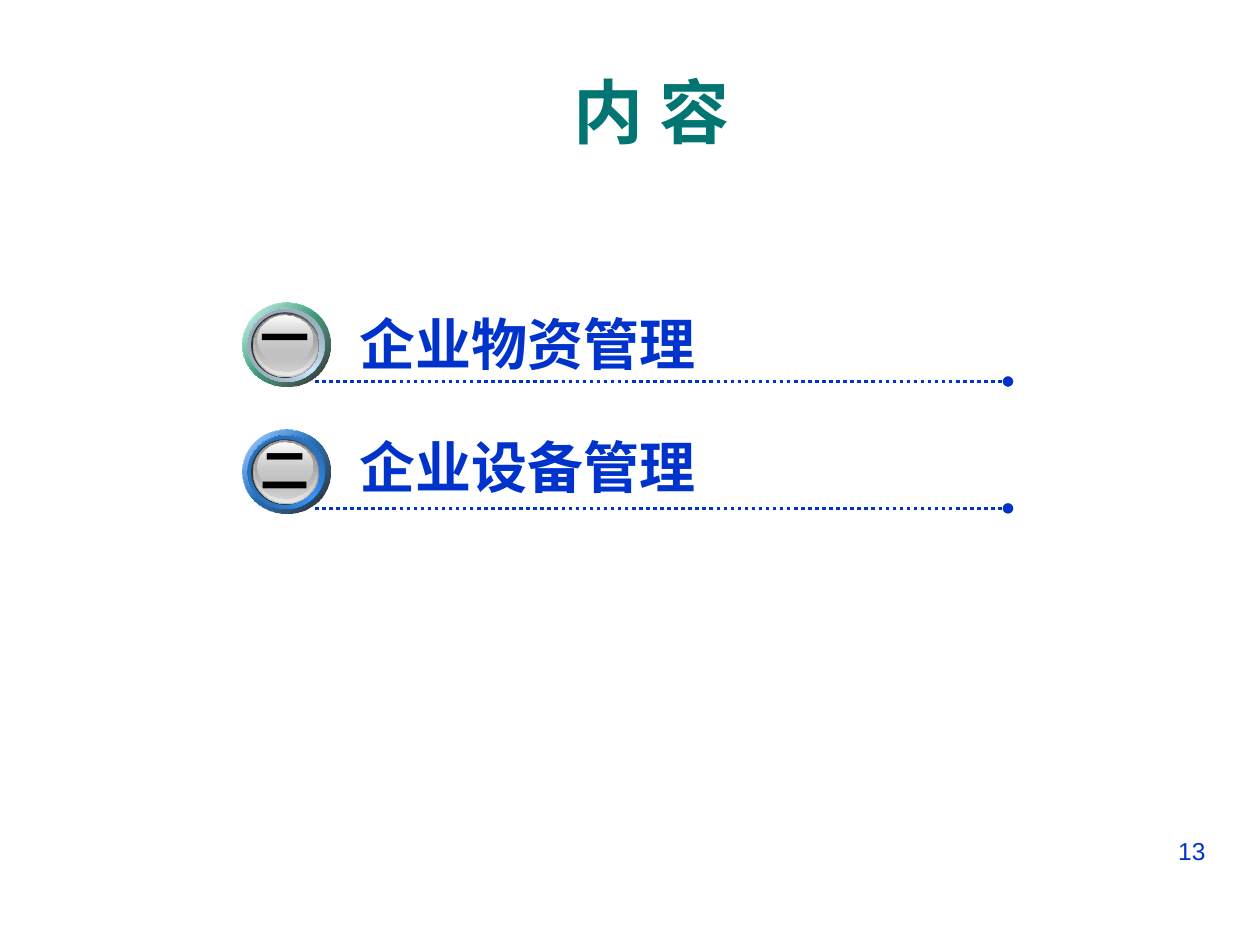
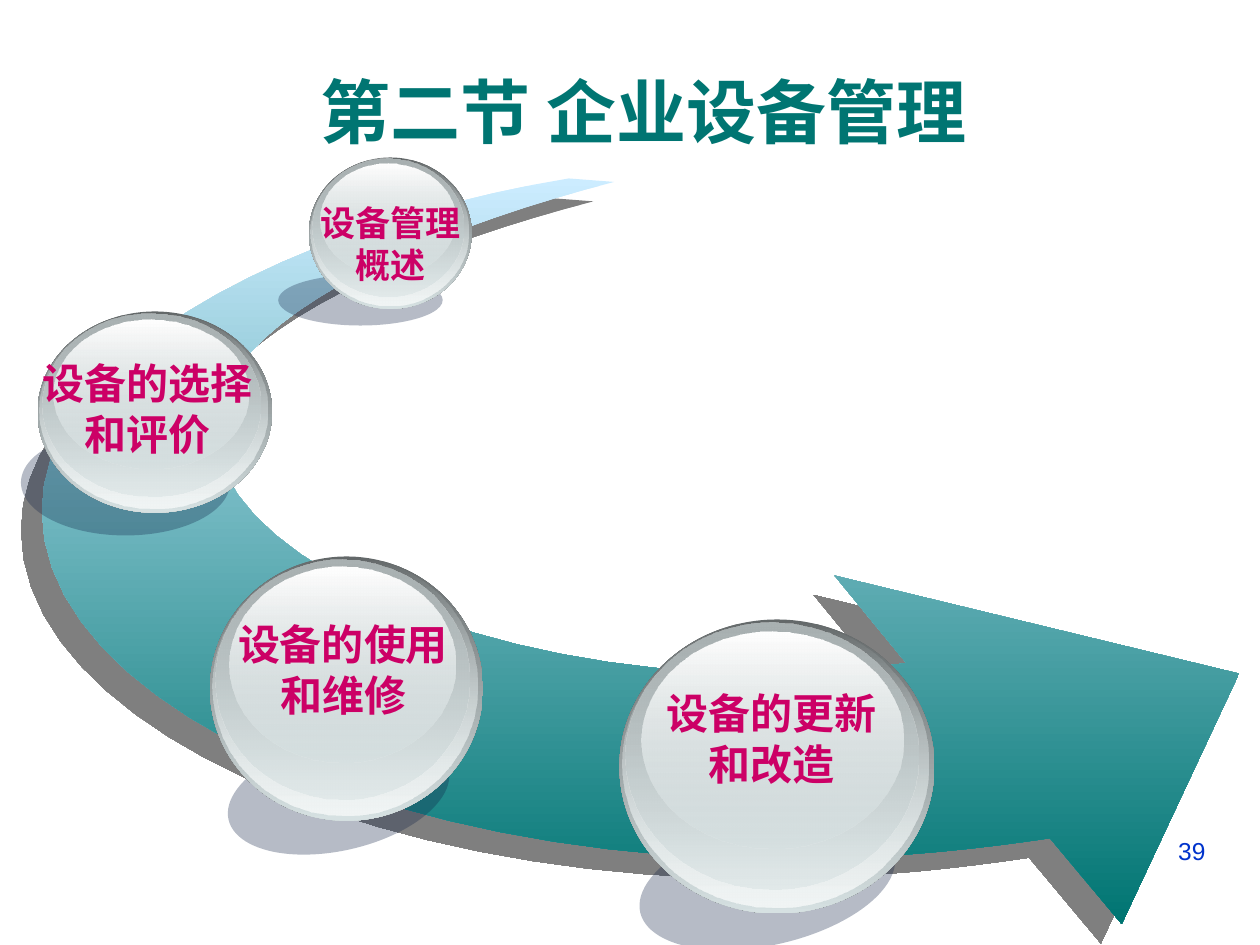
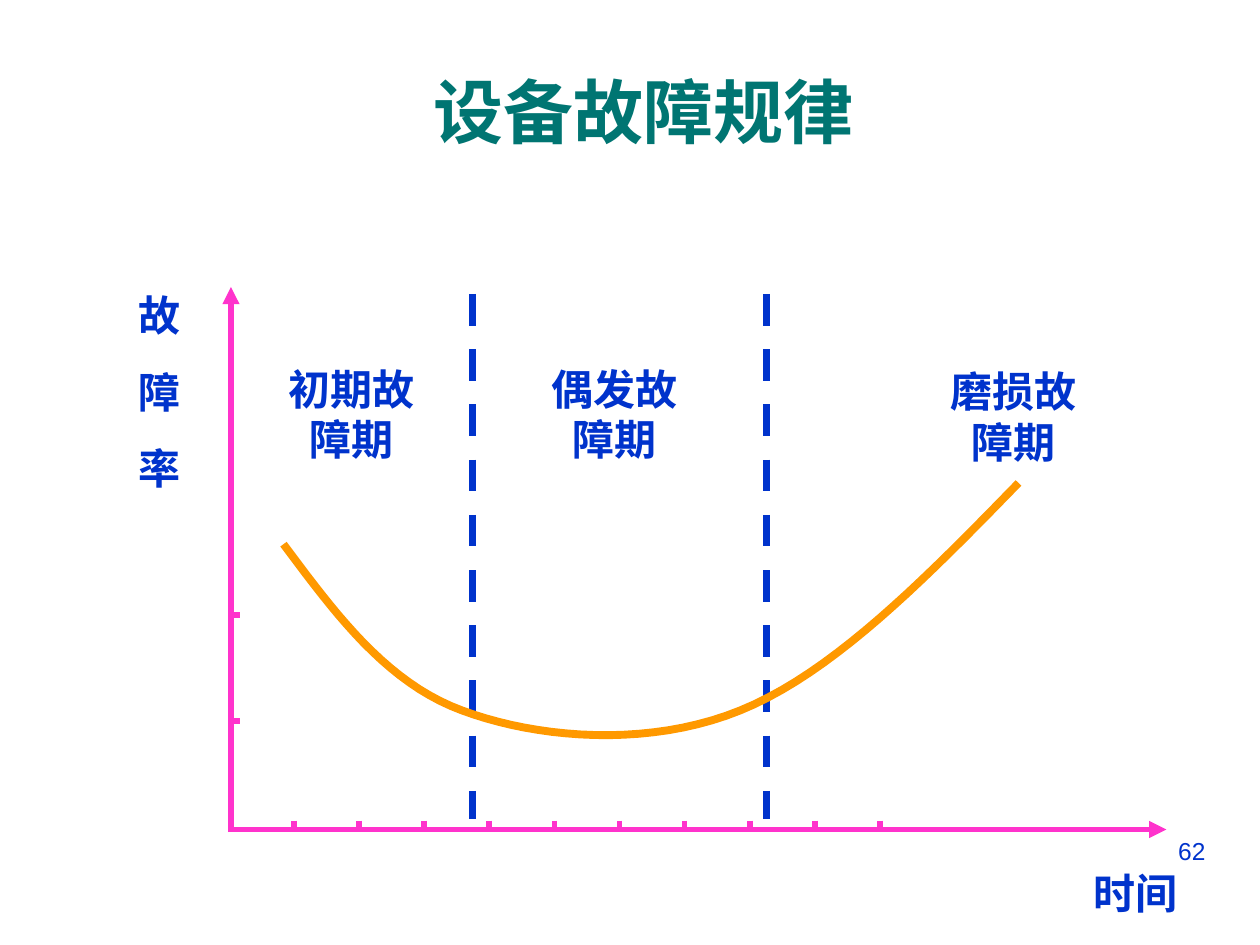
from lxml.etree import SubElement
from pptx import Presentation
from pptx.dml.color import RGBColor
from pptx.enum.dml import MSO_LINE as Dash
from pptx.enum.shapes import MSO_CONNECTOR as Connector, MSO_SHAPE as Shape
from pptx.enum.text import MSO_ANCHOR as Anchor, MSO_AUTO_SIZE as AutoSize, PP_ALIGN as Align
from pptx.oxml.ns import qn
from pptx.util import Pt

COLORS = {
    "title": "007572", "blue": "0033CC", "label": "CC0066", "black": "000000",
    "white": "FFFFFF", "axis": "FF33CC", "curve": "FF9900", "sky": "CCECFF",
    "cast": "0F2145", "glass": "D6E1E2", "glass_edge": "636869",
    "glass_light": "F1F5F5", "glass_mid": "AAB2B3", "rim": "333333",
    "steel_dark": "595959", "steel_mid": "989898", "steel": "C0C0C0",
    "steel_light": "E9E9E9", "azure": "3399FF", "azure_dark": "1C538A",
    "azure_mid": "2061A2", "green": "00CC66", "sky_dark": "6E808A",
    "sky_mid": "8296A2",
}
LATIN, CJK = "Arial", "Noto Sans CJK SC"


def rgb(color):
    """Look up a palette colour."""
    return RGBColor.from_string(COLORS[color])


def write(frame, lines, size, color, font=CJK, bold=True, align=Align.LEFT, gap=0):
    """Write one styled run per line, with a gap between paragraphs."""
    for index, line in enumerate(lines):
        paragraph = frame.add_paragraph() if index else frame.paragraphs[0]
        paragraph.alignment = align
        if index and gap:
            paragraph.space_before = Pt(gap)
        run = paragraph.add_run()
        run.text = line
        run.font.size, run.font.bold, run.font.name = Pt(size), bold, font
        run.font.color.rgb = rgb(color)
        SubElement(run.font._element, qn("a:ea")).set("typeface", CJK)


def add_label(slide, box, lines, size, color, wrap=True, **style):
    """Add a text box."""
    frame = slide.shapes.add_textbox(*map(Pt, box)).text_frame
    frame.word_wrap = wrap
    write(frame, lines, size, color, **style)


def set_alpha(color_element, percent):
    """Set the opacity of a colour element."""
    SubElement(color_element, qn("a:alpha")).set("val", str(percent * 1000))


def paint_gradient(shape, angle, stops):
    """Fill a shape with (position, colour, opacity) stops."""
    shape.fill.gradient()
    gradient = shape._element.spPr.find(qn("a:gradFill"))
    stop_list = gradient.find(qn("a:gsLst"))
    stop_list.clear()
    for position, color, opacity in stops:
        stop = SubElement(stop_list, qn("a:gs"))
        stop.set("pos", str(position * 1000))
        tint = SubElement(stop, qn("a:srgbClr"))
        tint.set("val", COLORS[color])
        set_alpha(tint, opacity)
    gradient.find(qn("a:lin")).set("ang", str(angle * 60000))


def add_ellipse(slide, box, angle=90, stops=()):
    """Add an unlined ellipse, with a gradient if stops are given."""
    ellipse = slide.shapes.add_shape(Shape.OVAL, *map(Pt, box))
    ellipse.shadow.inherit = False
    ellipse.line.fill.background()
    if stops:
        paint_gradient(ellipse, angle, stops)
    return ellipse


def add_line(slide, start, end, color, width, dash=None, tip=None):
    """Add a straight line, with an optional tip at its end."""
    line = slide.shapes.add_connector(Connector.STRAIGHT, *map(Pt, (*start, *end)))
    line.line.color.rgb = rgb(color)
    line.line.width = Pt(width)
    if dash:
        line.line.dash_style = dash
    if tip:
        SubElement(line.line._get_or_add_ln(), qn("a:tailEnd")).set("type", tip)
    SubElement(line._element.spPr, qn("a:effectLst"))


def trace(start, legs, steps=20):
    """Turn legs of one point (line) or three points (cubic curve) into points."""
    points = [start]
    for leg in legs:
        if len(leg) == 1:
            points.append(leg[0])
            continue
        corners = (points[-1], *leg)
        for step in range(1, steps + 1):
            t = step / steps
            weights = ((1 - t) ** 3, 3 * t * (1 - t) ** 2, 3 * t * t * (1 - t), t ** 3)
            points.append(tuple(sum(w * c[axis] for w, c in zip(weights, corners))
                                for axis in (0, 1)))
    return points


def add_outline(slide, left, top, points, close):
    """Add a freeform through points given relative to left and top."""
    start, *rest = [(Pt(x), Pt(y)) for x, y in points]
    builder = slide.shapes.build_freeform(*start)
    builder.add_line_segments(rest, close=close)
    outline = builder.convert_to_shape(Pt(left), Pt(top))
    outline.shadow.inherit = False
    return outline


def add_page(deck, heading, number):
    """Add a slide with the shared title and page number."""
    slide = deck.slides.add_slide(deck.slide_layouts[5])
    title = slide.shapes.title
    title.left, title.top, title.width, title.height = map(Pt, (36, 30, 672.5, 66))
    frame = title.text_frame
    frame.auto_size = AutoSize.NONE
    frame.vertical_anchor = Anchor.MIDDLE
    write(frame, [heading], 40, "title", LATIN, align=Align.CENTER)
    add_label(slide, (516, 474, 180, 37.5), [number], 14, "blue",
              font=LATIN, bold=False, align=Align.RIGHT)
    return slide


def add_badge(slide, left, top, halo, ring, ring_dark, ring_mid):
    """Add a round metal badge with a coloured ring."""
    ring_box, band_box = (0, 0, 50.4, 48), (3, 3.25, 44, 42)
    layers = [
        (ring_box, 45, [(0, "white", 100), (50, halo, 100), (100, "white", 100)]),
        (ring_box, 45, [(0, ring, 32), (100, "black", 90)]),
        (band_box, 315, [(0, ring_dark, 100), (50, ring, 100), (100, ring_dark, 100)]),
        (band_box, 45, [(0, ring_mid, 100), (100, ring, 0)]),
        ((5, 5.5, 39, 37.5), 90, [(0, "rim", 100), (100, "rim", 100)]),
        ((6, 6, 38, 36.5), 90, [(0, "steel_dark", 100), (100, "steel", 100)]),
        ((6.5, 6.5, 36.5, 35), 90, [(0, "steel", 0), (100, "steel_light", 100)]),
        ((7, 6.5, 35, 33), 90, [(0, "steel_mid", 100), (100, "steel", 48)]),
        ((8.5, 7.5, 31.5, 26.5), 90, [(0, "white", 100), (100, "steel", 38)]),
    ]
    for (x, y, width, height), angle, stops in layers:
        add_ellipse(slide, (left + x, top + y, width, height), angle, stops)


def add_entry(slide, left, top, numeral, topic, numeral_drop, topic_drop, badge):
    """Add a contents entry: dotted rule, topic and numbered badge."""
    add_line(slide, (left + 41.5, top + 45), (left + 437.5, top + 45),
             "blue", 2, Dash.ROUND_DOT, "oval")
    add_label(slide, (left + 60, top + topic_drop, 305, 46), [topic], 32, "blue")
    add_badge(slide, left, top, *badge)
    add_label(slide, (left + 3.3, top + numeral_drop, 42.5, 41), [numeral], 28,
              "black", wrap=False, align=Align.CENTER)


def add_sweep(slide, left, top):
    """Add the curved arrow behind the glass balls."""
    points = trace((301, 0), [
        [(167, 22), (0, 91), (0, 190)],
        [(0, 301), (199, 389), (422, 389)],
        [(473, 389), (523, 385), (576, 377)],
        [(617, 426)], [(684, 283)], [(453, 227)], [(494, 277)],
        [(300, 305), (99, 227), (99, 144)],
        [(99, 82), (214, 31), (327, 2)],
    ])
    sweep = add_outline(slide, left, top, points, True)
    sweep.line.fill.background()
    paint_gradient(sweep, 90, [(0, "sky", 100), (100, "title", 100)])
    effects = sweep._element.spPr.find(qn("a:effectLst"))
    shadow = SubElement(effects, qn("a:outerShdw"))
    for key, value in (("blurRad", 0), ("dist", Pt(16.3)), ("dir", 137 * 60000),
                       ("algn", "ctr"), ("rotWithShape", 0)):
        shadow.set(key, str(int(value)) if key != "algn" else value)
    tint = SubElement(shadow, qn("a:srgbClr"))
    tint.set("val", COLORS["black"])
    set_alpha(tint, 50)


def add_ball(slide, box, cast_box, tilt, label_at, lines, size):
    """Add a glass ball with its cast shadow and label."""
    cast = add_ellipse(slide, cast_box)
    cast.fill.solid()
    cast.fill.fore_color.rgb = rgb("cast")
    set_alpha(cast._element.spPr.find(qn("a:solidFill"))[0], 30)
    cast.rotation = tilt
    left, top, width, height = box
    layers = [
        ((0, 0, 1, 1), ("glass_edge", 100), ("glass", 100)),
        ((0.01, 0, 0.97, 0.98), ("glass", 0), ("glass_light", 100)),
        ((0.02, 0.01, 0.93, 0.91), ("glass_mid", 100), ("glass", 48)),
        ((0.07, 0.04, 0.83, 0.74), ("white", 100), ("glass", 38)),
    ]
    for (x, y, w, h), upper, lower in layers:
        layer_box = (left + x * width, top + y * height, w * width, h * height)
        add_ellipse(slide, layer_box, 90, [(0, *upper), (100, *lower)])
    add_label(slide, (*label_at, 142, 65), lines, size, "label",
              font=LATIN, align=Align.CENTER)


def add_failure_curve(slide, left, top):
    """Add the failure-rate diagram, from the top of its vertical axis."""
    def at(x, y):
        """Shift a point into the diagram."""
        return left + x, top + y

    base = 310
    for height in (187.5, 248):
        add_line(slide, at(0, height), at(5, height), "axis", 3.25)
    add_line(slide, at(0, base), at(534.5, base), "axis", 3.25, tip="triangle")
    add_line(slide, at(0, base + 1.5), at(0, 0), "axis", 3.25, tip="triangle")
    for index in range(10):
        x = 36 + 37.2 * index
        add_line(slide, at(x, base - 5), at(x, base - 1.5), "axis", 3.25)
    for border in (138, 306):
        add_line(slide, at(border, 4), at(border, 304), "blue", 4.5, Dash.DASH)
    for x, y, period in ((18, 40, "初期故障期"), (168, 40, "偶发故障期"),
                         (396, 41.5, "磨损故障期")):
        add_label(slide, (*at(x, y), 102, 65), [period], 24, "blue",
                  align=Align.CENTER)
    add_label(slide, (*at(486, 328), 84, 36), ["时间"], 24, "blue")
    add_label(slide, (*at(-60, -2), 48, 124), "故障率", 24, "blue", gap=15)
    points = trace((30, 147), [
        [(59.5, 186.5), (88.5, 226), (132, 242)],
        [(175, 258), (238, 263.5), (291, 242)],
        [(344, 220.5), (397, 166.5), (450, 112)],
    ])
    curve = add_outline(slide, left, top, points, False)
    curve.fill.background()
    curve.line.color.rgb = rgb("curve")
    curve.line.width = Pt(4.5)
    SubElement(curve.line._get_or_add_ln(), qn("a:round"))


def build_contents(deck):
    """Build the contents slide."""
    slide = add_page(deck, "内 容", "13")
    add_entry(slide, 138.5, 173, "一", "企业物资管理", -1, 0.5,
              ("green", "sky", "sky_dark", "sky_mid"))
    add_entry(slide, 138.5, 245.5, "二", "企业设备管理", 2, -2,
              ("azure", "azure", "azure_dark", "azure_mid"))


def build_section(deck):
    """Build the section overview slide."""
    slide = add_page(deck, "第二节 企业设备管理 ", "39")
    add_sweep(slide, 24, 102)
    balls = [
        ((120, 318, 156, 151), (129, 422, 129, 64), -12.9, (125, 350),
         ["设备的使用", "和维修"], 24),
        ((176.5, 90, 93, 86.5), (159, 157, 94, 29), 0, (152, 111.5),
         ["设备管理", "概述"], 20),
        ((21.5, 178, 134, 115), (12, 245.5, 119.5, 60.5), 0, (13.5, 201),
         ["设备的选择和评价"], 24),
        ((354, 354, 180, 168), (364, 469.5, 149, 70.5), -12.9, (370, 389.5),
         ["设备的更新", "和改造"], 24),
    ]
    for ball in balls:
        add_ball(slide, *ball)


def build_failure(deck):
    """Build the failure pattern slide."""
    slide = add_page(deck, "设备故障规律 ", "62")
    add_failure_curve(slide, 132, 164)


def main():
    """Build and save the deck."""
    deck = Presentation()
    deck.slide_width, deck.slide_height = Pt(720), Pt(540)
    build_contents(deck)
    build_section(deck)
    build_failure(deck)
    deck.save("out.pptx")


if __name__ == "__main__":
    main()
